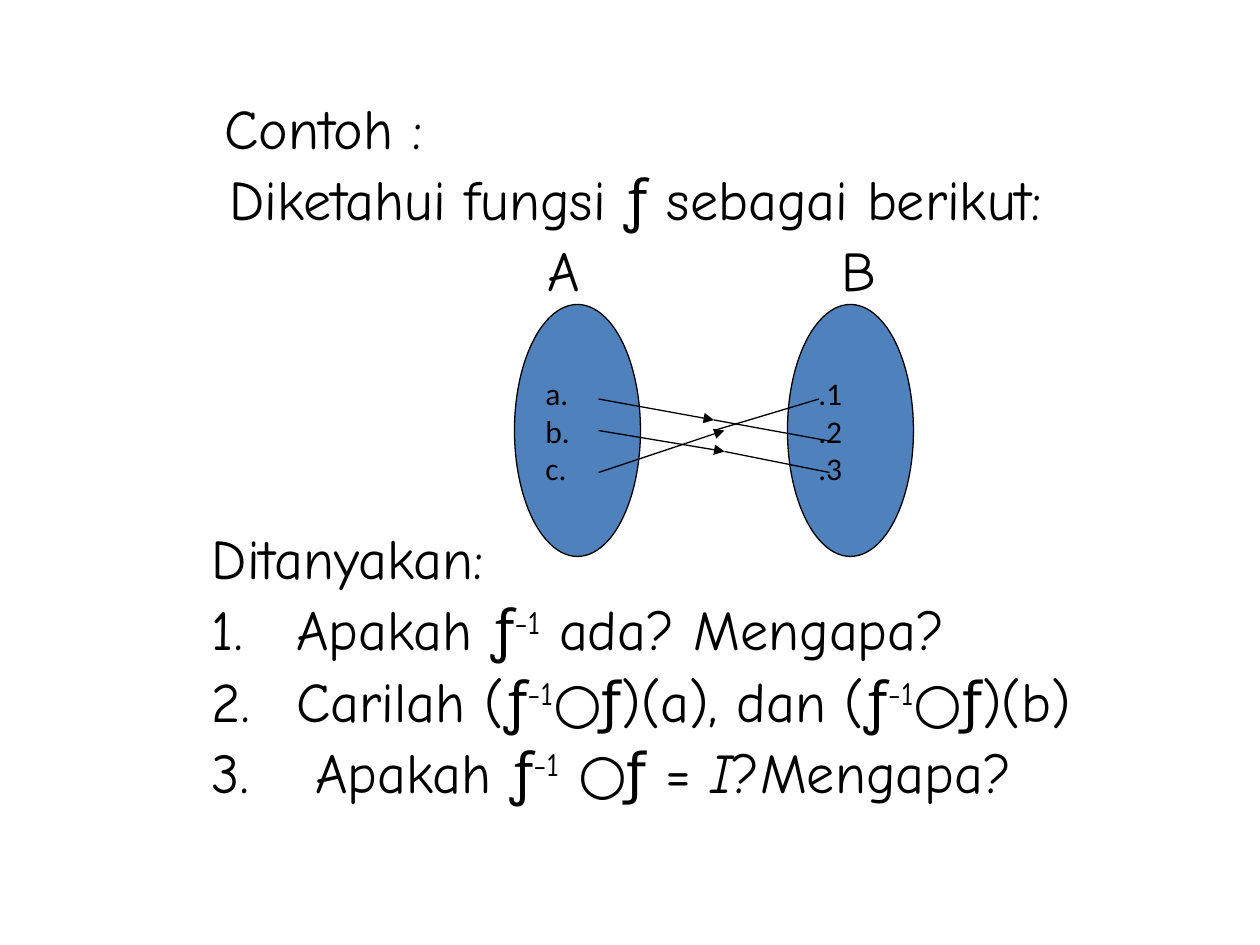
from lxml.etree import SubElement
from pptx import Presentation
from pptx.dml.color import RGBColor
from pptx.enum.lang import MSO_LANGUAGE_ID
from pptx.enum.shapes import MSO_CONNECTOR, MSO_SHAPE
from pptx.enum.text import MSO_ANCHOR, PP_ALIGN
from pptx.oxml.ns import qn
from pptx.util import Inches, Pt

BLACK = RGBColor(0x00, 0x00, 0x00)
BLUE = RGBColor(0x4F, 0x81, 0xBD)
COLUMNS = 120
BODY_LEFT, BODY_WIDTH = 19, 101
LABEL_TOP = 22.6
SET_TOP, SET_WIDTH, SET_HEIGHT = 29, 12, 24
NUMBER_INDENT = 0.67


class MappingSlide:
    body_font, body_size = "Comic Neue", Pt(32)
    set_font, set_size = "Calibri", Pt(18)
    line_width = Pt(0.75)

    def __init__(self, presentation):
        self.slide = presentation.slides.add_slide(presentation.slide_layouts[6])
        self.unit = presentation.slide_width / COLUMNS

    def grid(self, *cells):
        """Turn counts of square grid cells into slide lengths."""
        return [round(cell * self.unit) for cell in cells]

    def style_run(self, run, name, size):
        run.font.name, run.font.size = name, size
        run.font.color.rgb = BLACK

    def text_box(self, left, top, width, height):
        box = self.slide.shapes.add_textbox(*self.grid(left, top, width, height))
        box.text_frame.word_wrap = True
        return box.text_frame

    def paragraph(self, text_frame, pieces, indent=0, numbered=False):
        """Add a line of (text, style) pieces.

        A style is "", "symbol", "super" or "italic". Symbols are not marked as
        Indonesian, which keeps them in runs of their own.
        """
        first = not text_frame.paragraphs[0].runs
        paragraph = text_frame.paragraphs[0] if first else text_frame.add_paragraph()
        paragraph.line_spacing = 0.9
        if not first:
            paragraph.space_before = Pt(6.2)
        properties = paragraph._p.get_or_add_pPr()
        properties.set("marL", str(Inches(indent)))
        properties.set("indent", str(-Inches(indent) if numbered else 0))
        if numbered:
            SubElement(properties, qn("a:buFont"), typeface="+mj-lt")
            SubElement(properties, qn("a:buAutoNum"), type="arabicPeriod")
        for text, style in pieces:
            run = paragraph.add_run()
            run.text = text
            self.style_run(run, self.body_font, self.body_size)
            run.font.language_id = (MSO_LANGUAGE_ID.ENGLISH_US if style == "symbol"
                                    else MSO_LANGUAGE_ID.INDONESIAN)
            if style == "super":
                run.font._element.set("baseline", "30000")
            elif style == "italic":
                run.font.italic = True

    def member_set(self, left, members, label, label_left):
        shape = self.slide.shapes.add_shape(
            MSO_SHAPE.OVAL, *self.grid(left, SET_TOP, SET_WIDTH, SET_HEIGHT))
        shape.shadow.inherit = False
        shape.fill.solid()
        shape.fill.fore_color.rgb = BLUE
        shape.line.color.rgb = BLACK
        shape.line.width = self.line_width
        text_frame = shape.text_frame
        text_frame.text = "\n".join(members)
        text_frame.word_wrap = True
        text_frame.vertical_anchor = MSO_ANCHOR.MIDDLE
        for paragraph in text_frame.paragraphs:
            paragraph.alignment = PP_ALIGN.LEFT
            self.style_run(paragraph.runs[0], self.set_font, self.set_size)
        self.paragraph(self.text_box(label_left, LABEL_TOP, 8, 6), [(label, "")])

    def line(self, start, end, arrow=False):
        connector = self.slide.shapes.add_connector(
            MSO_CONNECTOR.STRAIGHT, *self.grid(*start, *end))
        connector.line.color.rgb = BLACK
        connector.line.width = self.line_width
        if arrow:
            SubElement(connector.line._get_or_add_ln(), qn("a:tailEnd"), type="triangle")
        SubElement(connector._element.spPr, qn("a:effectLst"))


def main():
    presentation = Presentation()
    presentation.slide_width, presentation.slide_height = Inches(10), Inches(7.5)
    slide = MappingSlide(presentation)
    function, composed = ("ƒ", "symbol"), ("○ƒ", "symbol")
    inverse = [function, ("-1", "super")]

    introduction = slide.text_box(BODY_LEFT, 9, BODY_WIDTH, 14)
    slide.paragraph(introduction, [("Contoh :", "")], indent=0.1)
    slide.paragraph(
        introduction,
        [("Diketahui fungsi ", ""), function, (" sebagai berikut:", "")],
        indent=0.14)

    questions = slide.text_box(BODY_LEFT, 50, BODY_WIDTH, 33)
    slide.paragraph(questions, [("Ditanyakan:", "")])
    for indent, pieces in (
        (NUMBER_INDENT, [("Apakah ", ""), *inverse, (" ada? Mengapa?", "")]),
        (NUMBER_INDENT, [("Carilah (", ""), *inverse, composed, (")(a), dan (", ""),
                         *inverse, composed, (")(b)", "")]),
        (NUMBER_INDENT + 0.15, [("Apakah ", ""), *inverse, (" ", ""), composed,
                                (" = ", ""), ("I", "italic"), ("?Mengapa?", "")]),
    ):
        slide.paragraph(questions, pieces, indent, numbered=True)

    slide.member_set(49, ["a.", "b.", "c."], "A", label_left=51)
    slide.member_set(75, [".1", ".2", ".3"], "B", label_left=79)

    # Each mapping: start, arrow tip, start of the remaining line, end.
    for start, tip, resume, end in (
        ((57, 38), (68, 40), (68, 40), (79, 42)),
        ((57, 41), (69, 43), (69, 43), (79, 45)),
        ((57, 45), (69, 41), (68, 41), (78, 38)),
    ):
        slide.line(start, tip, arrow=True)
        slide.line(resume, end)

    presentation.save("out.pptx")


if __name__ == "__main__":
    main()
